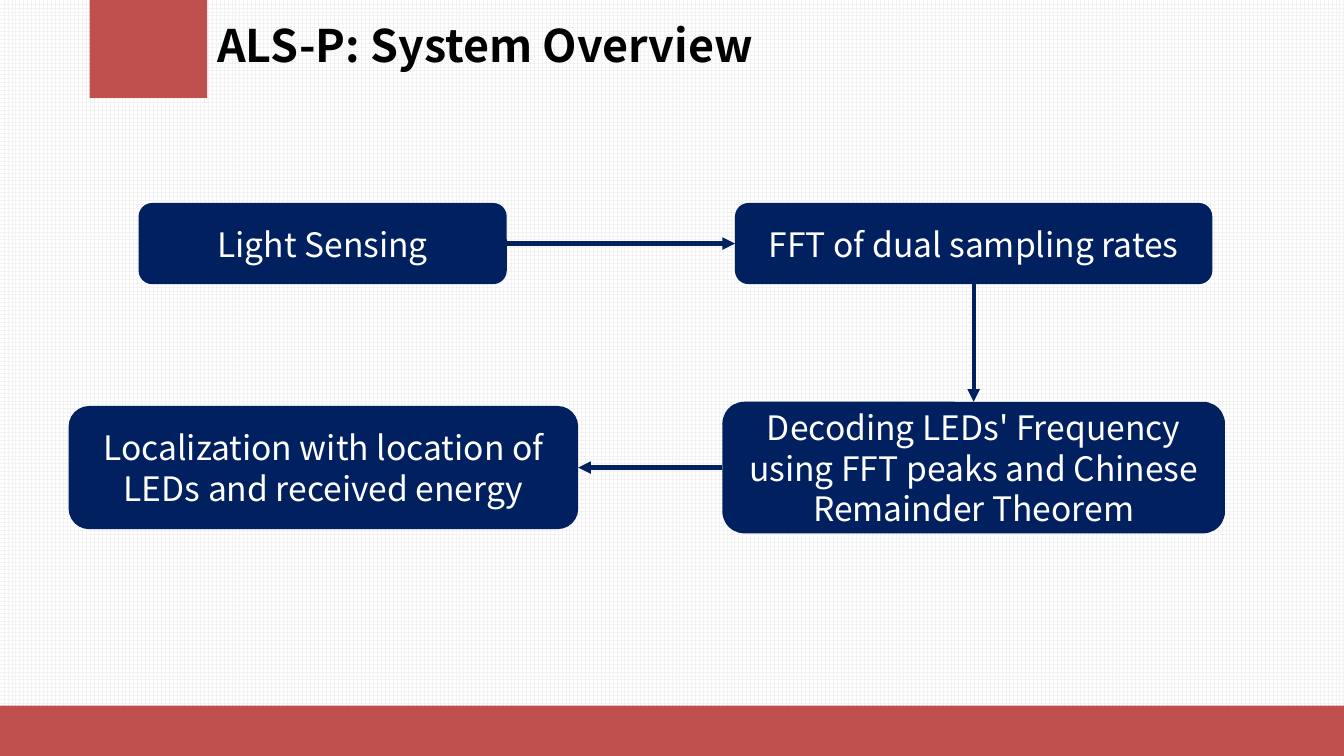
from lxml import etree
from pptx import Presentation
from pptx.dml.color import RGBColor
from pptx.enum.dml import MSO_PATTERN
from pptx.enum.shapes import MSO_CONNECTOR, MSO_SHAPE
from pptx.enum.text import MSO_ANCHOR, PP_ALIGN
from pptx.oxml.ns import qn
from pptx.util import Pt

RED = RGBColor(0xC0, 0x50, 0x4D)
NAVY = RGBColor(0x00, 0x20, 0x60)
BLACK = RGBColor(0x00, 0x00, 0x00)
WHITE = RGBColor(0xFF, 0xFF, 0xFF)
PALE_GREY = RGBColor(0xF2, 0xF2, 0xF2)
RECTANGLE = MSO_SHAPE.RECTANGLE
ROUNDED = MSO_SHAPE.ROUNDED_RECTANGLE
STRAIGHT = MSO_CONNECTOR.STRAIGHT
GRID = MSO_PATTERN.LARGE_GRID
MIDDLE = MSO_ANCHOR.MIDDLE
LEFT, CENTER = PP_ALIGN.LEFT, PP_ALIGN.CENTER
TOP_SIDE, LEFT_SIDE, BOTTOM_SIDE, RIGHT_SIDE = range(4)


class FlowPage:
    """Draws the elements of a flow chart slide in one style."""

    font_name = "Noto Sans CJK SC"

    def __init__(self, page):
        self.page = page

    def background(self, fore, back):
        fill = self.page.background.fill
        fill.patterned()
        fill.pattern = GRID
        fill.fore_color.rgb = fore
        fill.back_color.rgb = back

    def label(self, shape, text, size, color, align, bold=False, spacing=1.0):
        frame = shape.text_frame
        frame.word_wrap = True
        frame.vertical_anchor = MIDDLE
        para = frame.paragraphs[0]
        para.alignment = align
        para.line_spacing = spacing
        span = para.add_run()
        span.text = text
        span.font.color.rgb = color
        style = {"name": self.font_name, "size": Pt(size), "bold": bold}
        for key, value in style.items():
            setattr(span.font, key, value)

    def block(self, kind, bounds, color):
        shape = self.page.shapes.add_shape(kind, *map(Pt, bounds))
        shape.shadow.inherit = False
        shape.fill.solid()
        shape.fill.fore_color.rgb = color
        shape.line.fill.background()
        return shape

    def title(self, bounds, text):
        box = self.page.shapes.add_textbox(*map(Pt, bounds))
        self.label(box, text, 32, BLACK, LEFT, bold=True, spacing=0.9)

    def step(self, bounds, text):
        box = self.block(ROUNDED, bounds, NAVY)
        self.label(box, text, 24, WHITE, CENTER)
        return box

    def arrow(self, source, source_side, target, target_side):
        connector = self.page.shapes.add_connector(STRAIGHT, 0, 0, 0, 0)
        connector.begin_connect(source, source_side)
        connector.end_connect(target, target_side)
        connector.line.color.rgb = NAVY
        connector.line.width = Pt(3)
        properties = connector._element.spPr
        outline = properties.find(qn("a:ln"))
        etree.SubElement(outline, qn("a:tailEnd"), type="triangle")
        etree.SubElement(properties, qn("a:effectLst"))


def main():
    deck = Presentation()
    deck.slide_width, deck.slide_height = Pt(960), Pt(540)
    flow = FlowPage(deck.slides.add_slide(deck.slide_layouts[6]))

    flow.background(PALE_GREY, WHITE)
    flow.block(RECTANGLE, (64, 0, 84, 70), RED)
    flow.block(RECTANGLE, (0, 504, 960, 36), RED)
    flow.title((148, 1, 580, 67), "ALS-P: System Overview")

    sensing = flow.step((99, 145, 263, 58), "Light Sensing")
    transform = flow.step((525, 145, 341, 58), "FFT of dual sampling rates")
    decoding = flow.step(
        (516, 287, 359, 94),
        "Decoding LEDs' Frequency using FFT peaks and Chinese Remainder Theorem",
    )
    localization = flow.step(
        (49, 290, 364, 88),
        "Localization with location of LEDs and received energy",
    )

    flow.arrow(sensing, RIGHT_SIDE, transform, LEFT_SIDE)
    flow.arrow(transform, BOTTOM_SIDE, decoding, TOP_SIDE)
    flow.arrow(decoding, LEFT_SIDE, localization, RIGHT_SIDE)
    deck.save("out.pptx")


if __name__ == "__main__":
    main()
